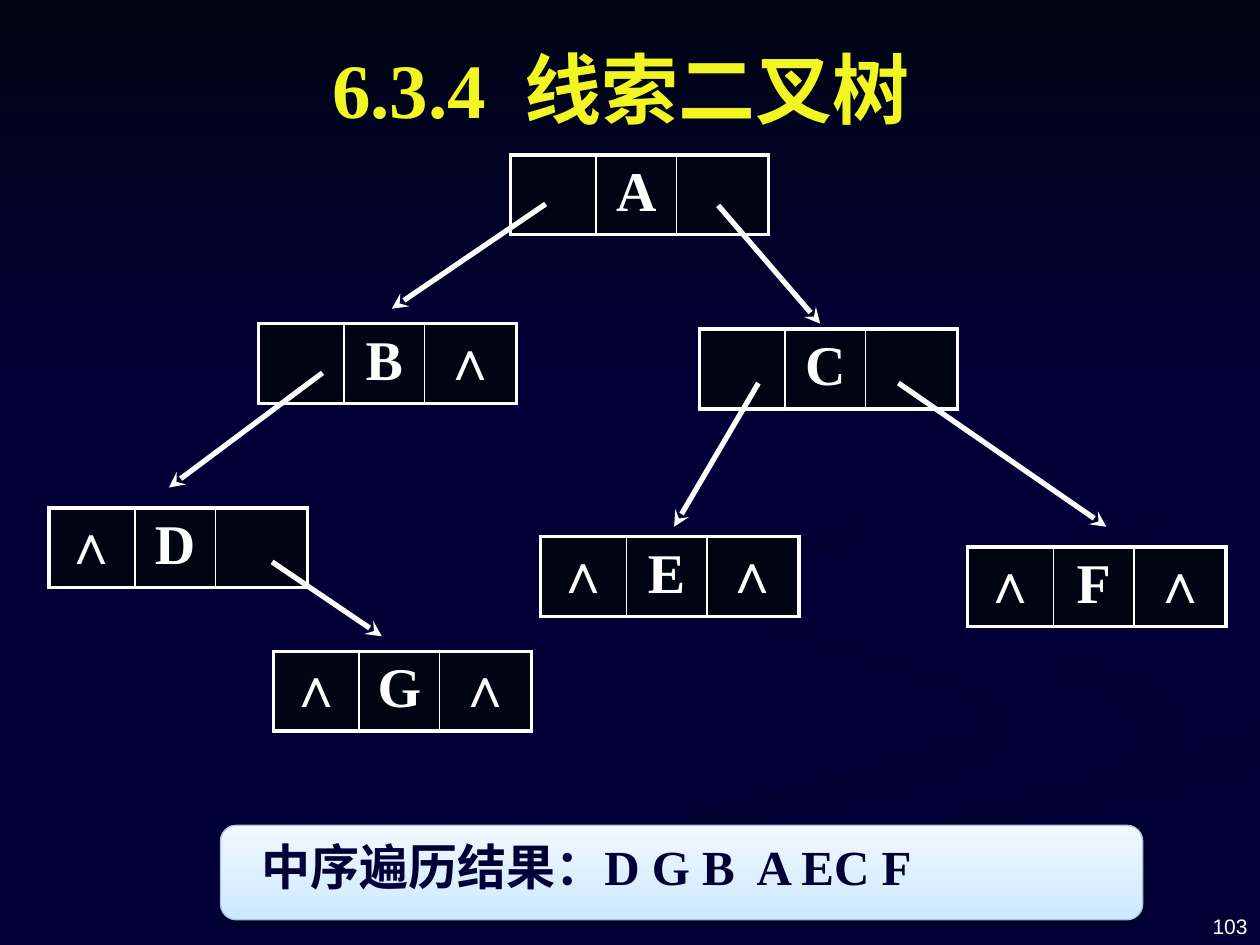
"""Build the threaded binary tree slide."""
from copy import deepcopy

from lxml.etree import SubElement
from pptx import Presentation
from pptx.dml.color import RGBColor
from pptx.enum.shapes import MSO_CONNECTOR, MSO_SHAPE
from pptx.enum.text import MSO_ANCHOR, PP_ALIGN
from pptx.oxml import parse_xml
from pptx.oxml.ns import nsdecls, qn
from pptx.util import Pt

WHITE = RGBColor(0xFF, 0xFF, 0xFF)
YELLOW = RGBColor(0xF1, 0xF6, 0x22)
NAVY = RGBColor(0x00, 0x00, 0x36)
DEEP_NAVY = RGBColor(0x00, 0x00, 0x32)
INK = RGBColor(0x00, 0x05, 0x14)
ICE = (RGBColor(0xCC, 0xE8, 0xFF), RGBColor(0xDA, 0xEE, 0xFF), RGBColor(0xF1, 0xF8, 0xFF))
ICE_EDGE = RGBColor(0xA5, 0xC6, 0xDE)
SERIF = "Times New Roman"

TITLE = "6.3.4  线索二叉树"
RESULT = "中序遍历结果：D G B  A EC F"
PAGE = "103"
NODES = [
    (("", "A", ""), 291.6, 88.5, 42.5),
    (("", "B", "∧"), 147.6, 185, 45.4),
    (("", "C", ""), 399.6, 188, 42.5),
    (("∧", "D", ""), 28.1, 290.2, 42.5),
    (("∧", "E", "∧"), 308.9, 306.7, 42.5),
    (("∧", "F", "∧"), 553, 312.5, 42.5),
    (("∧", "G", "∧"), 156.2, 372.2, 42.5),
]
COLUMNS = (49, 46.1, 52.5)
LINKS = [
    (311.8, 116.6, 223.9, 176.4),
    (410.4, 117.4, 468.7, 185),
    (433.4, 218.9, 385.2, 301),
    (513.4, 218.9, 632.2, 301),
    (184.3, 213.1, 96.5, 278.6),
    (155.5, 321.1, 218.2, 363.6),
]
SWOOSHES = [
    (NAVY, DEEP_NAVY, 0, [
        (216, 539), (260, 539), (310, 514), (383, 485), (449, 466), (533, 445), (566, 433),
        (576, 418), (562, 398), (515, 380), (451, 361), (414, 331), (410, 340), (427, 354),
        (489, 374), (541, 391), (566, 408), (552, 423), (492, 441), (388, 467), (300, 497)]),
    (NAVY, DEEP_NAVY, 315, [
        (679, 410), (652, 389), (598, 374), (546, 359), (521, 334), (528, 348), (574, 373),
        (625, 392), (661, 416), (644, 436), (672, 424)]),
    (DEEP_NAVY, NAVY, 270, [
        (362, 539), (411, 539), (454, 518), (500, 498), (565, 476), (620, 461), (719, 438),
        (719, 418), (650, 439), (550, 466), (454, 499), (391, 528)]),
    (DEEP_NAVY, NAVY, 315, [
        (562, 331), (569, 344), (595, 357), (580, 343), (589, 330), (632, 316), (719, 302),
        (719, 289), (647, 301), (576, 318)]),
    (DEEP_NAVY, NAVY, 315, [
        (492, 310), (566, 297), (616, 282), (642, 255), (637, 228), (607, 204), (549, 168),
        (609, 201), (640, 241), (620, 266), (549, 287), (450, 307), (415, 333), (448, 360),
        (427, 338), (449, 320)]),
]


def fill_gradient(shape, stops, angle):
    shape.shadow.inherit = False
    shape.line.fill.background()
    shape.fill.gradient()
    shape.fill.gradient_angle = angle
    stop_list = shape._element.spPr.find(".//" + qn("a:gsLst"))
    while len(stop_list) < len(stops):
        stop_list.append(deepcopy(stop_list[0]))
    for stop, (position, color) in zip(shape.fill.gradient_stops, stops):
        stop.position = position
        stop.color.rgb = color


def write(frame, text, size, color, align, bold=True, font=SERIF):
    frame.text = text
    paragraph = frame.paragraphs[0]
    paragraph.alignment = align
    for run in paragraph.runs:
        run.font.name = font
        run.font.size = Pt(size)
        run.font.bold = bold
        run.font.color.rgb = color


def add_label(slide, box, anchor, *style):
    frame = slide.shapes.add_textbox(*map(Pt, box)).text_frame
    frame.word_wrap = True
    frame.vertical_anchor = anchor
    write(frame, *style)


def add_swoosh(slide, first, last, angle, points):
    outline = [(Pt(x), Pt(y)) for x, y in points]
    builder = slide.shapes.build_freeform(*outline[0])
    builder.add_line_segments(outline[1:], close=True)
    fill_gradient(builder.convert_to_shape(), [(0, first), (1, last)], angle)


def set_borders(cell, widths):
    properties = cell._tc.get_or_add_tcPr()
    for index, (side, width) in enumerate(zip("LRTB", widths)):
        properties.insert(index, parse_xml(
            f'<a:ln{side} {nsdecls("a")} w="{Pt(width)}"><a:solidFill>'
            f'<a:srgbClr val="{WHITE}"/></a:solidFill></a:ln{side}>'))


def add_node(slide, fields, left, top, height):
    table = slide.shapes.add_table(
        1, len(fields), Pt(left), Pt(top), Pt(sum(COLUMNS)), Pt(height)).table
    table.first_row = table.horz_banding = False
    last = len(fields) - 1
    for index, (field, width) in enumerate(zip(fields, COLUMNS)):
        table.columns[index].width = Pt(width)
        cell = table.cell(0, index)
        cell.fill.solid()
        cell.fill.fore_color.rgb = INK
        write(cell.text_frame, field, 32, WHITE, PP_ALIGN.CENTER)
        set_borders(cell, (1 if index else 2.25, 1 if index < last else 2.25, 2.25, 2.25))


def add_link(slide, ends):
    link = slide.shapes.add_connector(MSO_CONNECTOR.STRAIGHT, *map(Pt, ends))
    link.line.color.rgb = WHITE
    link.line.width = Pt(3)
    SubElement(link.line._get_or_add_ln(), qn("a:tailEnd"), type="stealth")
    SubElement(link._element.spPr, qn("a:effectLst"))


def add_result(slide):
    panel = slide.shapes.add_shape(
        MSO_SHAPE.ROUNDED_RECTANGLE, Pt(126), Pt(471.6), Pt(527), Pt(54))
    fill_gradient(panel, list(zip((0, 0.35, 1), ICE)), 90)
    panel.line.color.rgb = ICE_EDGE
    panel.line.width = Pt(0.75)
    effects = panel._element.spPr.find(qn("a:effectLst"))
    shadow = SubElement(effects, qn("a:outerShdw"), blurRad=str(Pt(3.1)),
                        dist=str(Pt(1.6)), dir="5400000", rotWithShape="0")
    shade = SubElement(shadow, qn("a:srgbClr"), val="000000")
    SubElement(shade, qn("a:alpha"), val="38000")
    panel.text_frame.vertical_anchor = MSO_ANCHOR.TOP
    panel.text_frame.margin_left = Pt(21)
    write(panel.text_frame, RESULT, 28, NAVY, PP_ALIGN.LEFT)


def main():
    deck = Presentation()
    deck.slide_width, deck.slide_height = Pt(720), Pt(540)
    slide = deck.slides.add_slide(deck.slide_layouts[6])
    slide.background.fill.solid()
    slide.background.fill.fore_color.rgb = NAVY
    for swoosh in SWOOSHES:
        add_swoosh(slide, *swoosh)
    sky = slide.shapes.add_shape(MSO_SHAPE.RECTANGLE, 0, 0, Pt(720), Pt(221.8))
    fill_gradient(sky, [(0, INK), (1, NAVY)], 270)
    add_label(slide, (552.2, 502.6, 167.8, 37.4), MSO_ANCHOR.BOTTOM,
              PAGE, 12, WHITE, PP_ALIGN.RIGHT, False, "Arial")
    for node in NODES:
        add_node(slide, *node)
    for ends in LINKS:
        add_link(slide, ends)
    add_label(slide, (31, 11.5, 648, 77), MSO_ANCHOR.MIDDLE,
              TITLE, 44, YELLOW, PP_ALIGN.CENTER)
    add_result(slide)
    deck.save("out.pptx")


if __name__ == "__main__":
    main()
